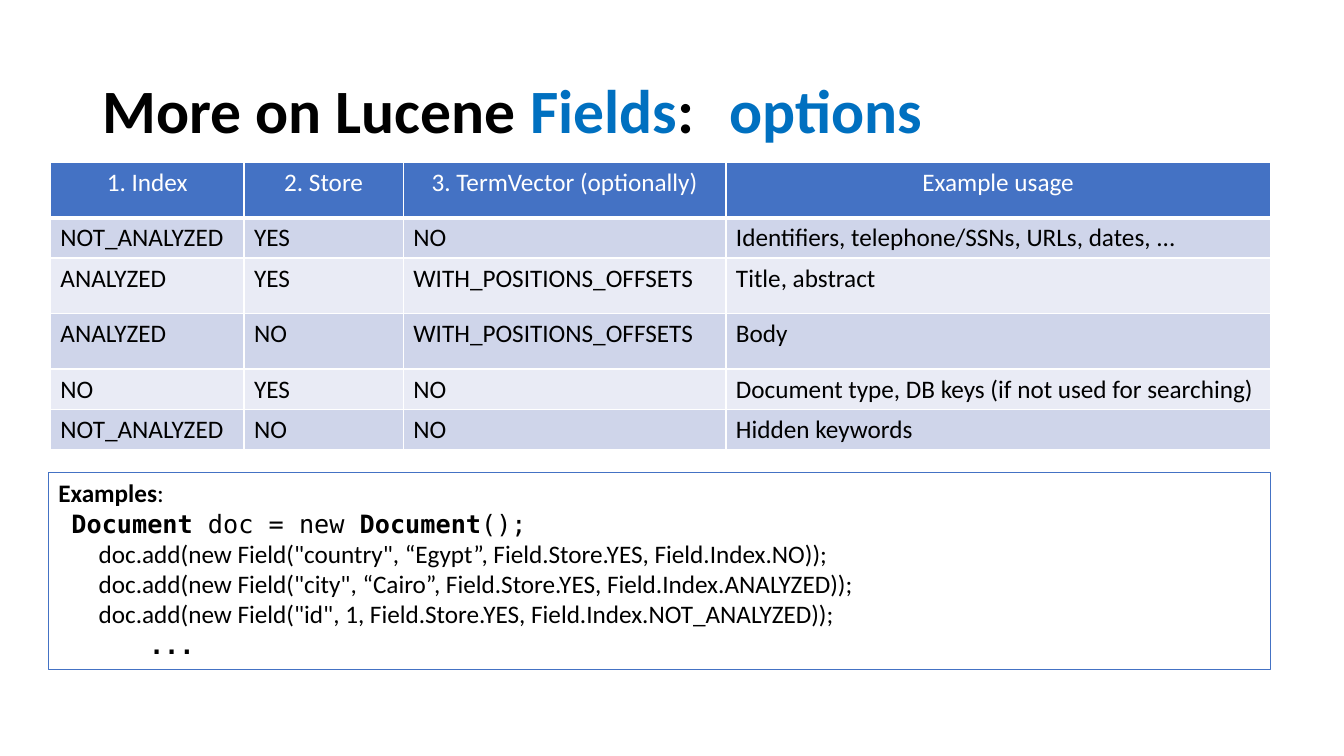
from dataclasses import dataclass

from lxml import etree
from pptx import Presentation
from pptx import util as u
from pptx.dml.color import RGBColor
from pptx.enum import shapes, text
from pptx.oxml import ns

BLACK = RGBColor(0x00, 0x00, 0x00)
WHITE = RGBColor(0xFF, 0xFF, 0xFF)
ACCENT = RGBColor(0x00, 0x70, 0xC0)
HEAD = RGBColor(0x44, 0x72, 0xC4)
BANDS = (RGBColor(0xCF, 0xD5, 0xEA), RGBColor(0xE9, 0xEB, 0xF5))
SANS = "Calibri"
MONO = "DejaVu Sans Mono"


@dataclass
class Span:
    text: str
    bold: bool = False
    color: RGBColor = BLACK


@dataclass
class Line:
    spans: list[Span]
    font: str = SANS
    size: int = 18
    indent: float = 0


TITLE = Line([
    Span("More on Lucene ", True),
    Span("Fields", True, ACCENT),
    Span(":\t", True),
    Span("options", True, ACCENT),
], size=44)

COLS = (1.92, 1.58, 3.2, 5.4)
ROWS = (0.55, 0.4, 0.55, 0.55, 0.4, 0.4)
CELLS = (
    ("1. Index", "2. Store", "3. TermVector (optionally)", "Example usage"),
    ("NOT_ANALYZED", "YES", "NO", "Identifiers, telephone/SSNs, URLs, dates, ..."),
    ("ANALYZED", "YES", "WITH_POSITIONS_OFFSETS", "Title, abstract"),
    ("ANALYZED", "NO", "WITH_POSITIONS_OFFSETS", "Body"),
    ("NO", "YES", "NO", "Document type, DB keys (if not used for searching)"),
    ("NOT_ANALYZED", "NO", "NO", "Hidden keywords"),
)

FIELDS = (
    '"country", “Egypt”, Field.Store.YES, Field.Index.NO',
    '"city", “Cairo”, Field.Store.YES, Field.Index.ANALYZED',
    '"id", 1, Field.Store.YES, Field.Index.NOT_ANALYZED',
)
CODE = [
    Line([Span("Examples", True), Span(":")]),
    Line([
        Span("Document", True),
        Span(" doc = new "),
        Span("Document", True),
        Span("();"),
    ], MONO, indent=0.13),
    *(Line([Span(f"doc.add(new Field({args}));")], indent=0.4) for args in FIELDS),
    Line([Span("...", True)], MONO, indent=0.9),
]


def write(para, line: Line) -> None:
    para.font.name = line.font
    para.font.size = u.Pt(line.size)
    bolds = {span.bold for span in line.spans}
    colors = {span.color for span in line.spans}
    if len(bolds) == 1:
        para.font.bold = line.spans[0].bold
    if len(colors) == 1:
        para.font.color.rgb = line.spans[0].color
    if line.indent:
        para._p.get_or_add_pPr().set("marL", str(u.Inches(line.indent)))
    for span in line.spans:
        run = para.add_run()
        run.text = span.text
        if len(bolds) > 1:
            run.font.bold = span.bold
        if len(colors) > 1:
            run.font.color.rgb = span.color


def add_title(slide) -> None:
    box = slide.shapes.add_textbox(
        u.Inches(0.92), u.Inches(0.4), u.Inches(11.5), u.Inches(1.45))
    frame = box.text_frame
    frame.word_wrap = True
    frame.vertical_anchor = text.MSO_ANCHOR.MIDDLE
    para = frame.paragraphs[0]
    para.line_spacing = 0.9
    props = para._p.get_or_add_pPr()
    tabs = etree.SubElement(props, ns.qn("a:tabLst"))
    etree.SubElement(tabs, ns.qn("a:tab"), pos=str(u.Inches(6.22)), algn="l")
    write(para, TITLE)


def edge(cell, side: str, width: float) -> None:
    props = cell._tc.get_or_add_tcPr()
    line = etree.SubElement(props, ns.qn(f"a:ln{side}"), w=str(u.Pt(width)))
    fill = etree.SubElement(line, ns.qn("a:solidFill"))
    etree.SubElement(fill, ns.qn("a:srgbClr"), val=str(WHITE))


def add_grid(slide) -> None:
    table = slide.shapes.add_table(
        len(ROWS), len(COLS), u.Inches(0.5), u.Inches(1.61),
        u.Inches(sum(COLS)), u.Inches(sum(ROWS))).table
    for col, width in zip(table.columns, COLS):
        col.width = u.Inches(width)
    for row, height in zip(table.rows, ROWS):
        row.height = u.Inches(height)
    for i, words in enumerate(CELLS):
        for j, word in enumerate(words):
            cell = table.cell(i, j)
            for side in "LRTB":
                thick = (i, side) in ((0, "B"), (1, "T"))
                edge(cell, side, 3 if thick else 1)
            cell.fill.solid()
            cell.fill.fore_color.rgb = BANDS[(i - 1) % 2] if i else HEAD
            para = cell.text_frame.paragraphs[0]
            if i == 0:
                para.alignment = text.PP_ALIGN.CENTER
            write(para, Line([Span(word, color=BLACK if i else WHITE)]))


def add_code(slide) -> None:
    box = slide.shapes.add_shape(
        shapes.MSO_SHAPE.RECTANGLE,
        u.Inches(0.48), u.Inches(4.69), u.Inches(12.12), u.Inches(1.95))
    box.shadow.inherit = False
    box.fill.solid()
    box.fill.fore_color.rgb = WHITE
    box.line.color.rgb = HEAD
    box.line.width = u.Pt(1)
    frame = box.text_frame
    frame.word_wrap = True
    frame.vertical_anchor = text.MSO_ANCHOR.TOP
    for i, line in enumerate(CODE):
        para = frame.add_paragraph() if i else frame.paragraphs[0]
        para.alignment = text.PP_ALIGN.LEFT
        write(para, line)


def main() -> None:
    deck = Presentation()
    deck.slide_width = u.Inches(13.33)
    deck.slide_height = u.Inches(7.5)
    slide = deck.slides.add_slide(deck.slide_layouts[6])
    add_title(slide)
    add_grid(slide)
    add_code(slide)
    deck.save("out.pptx")


if __name__ == "__main__":
    main()
